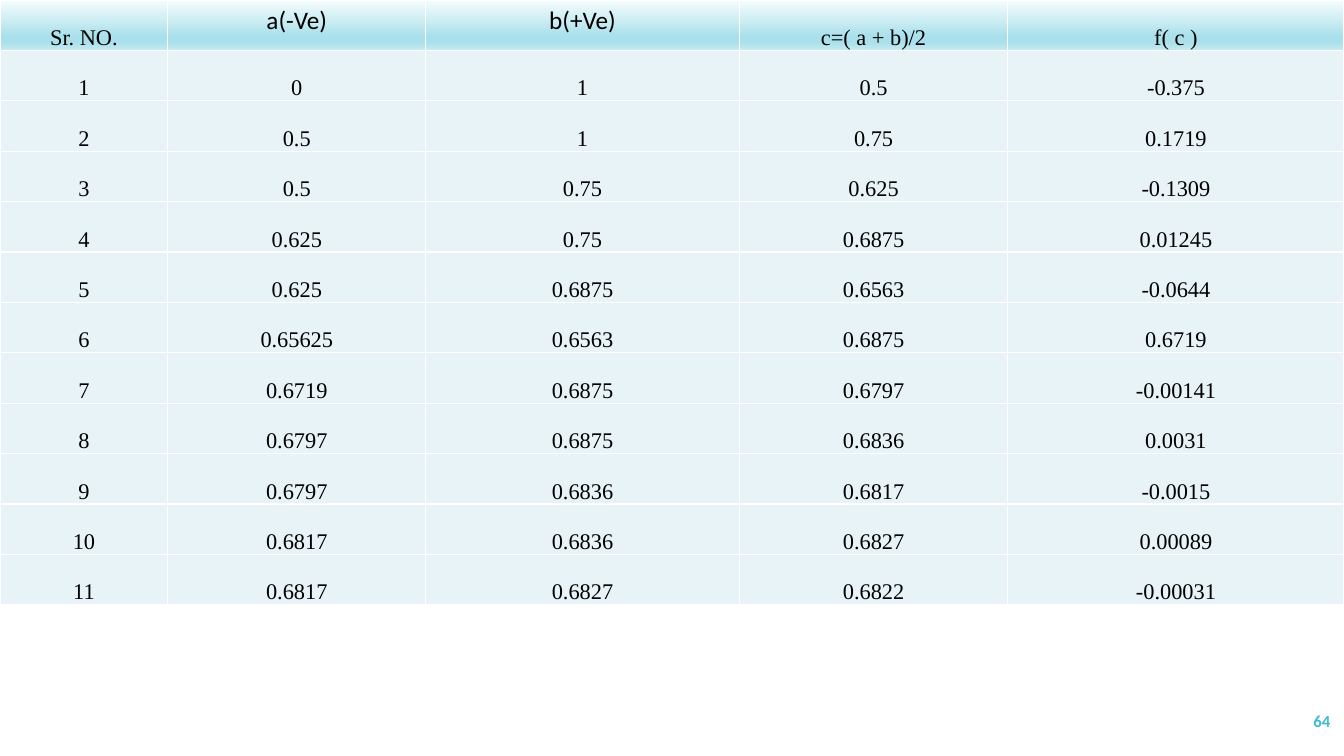
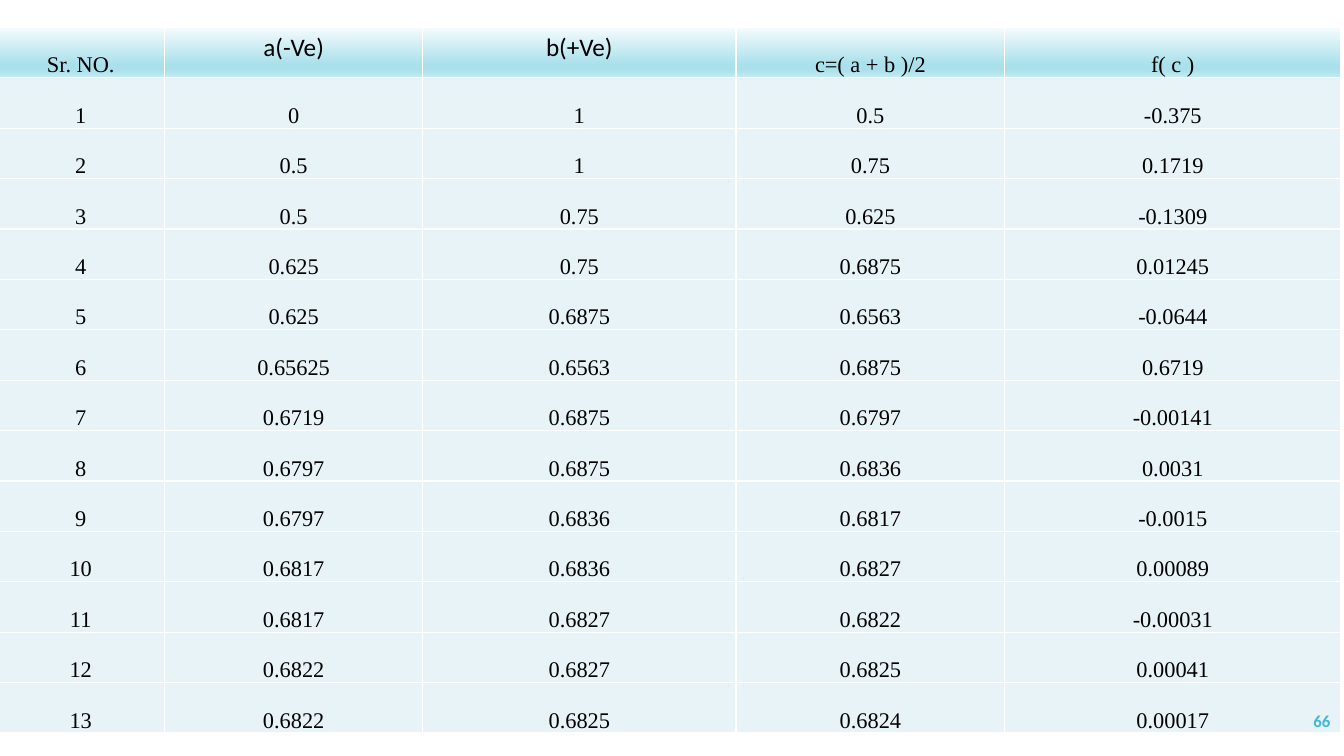
from lxml import etree
from pptx import Presentation
from pptx import util as u
from pptx.dml import color
from pptx.enum import text
from pptx.oxml import ns

STEPS = [
    ("0", "1", "0.5", "-0.375"),
    ("0.5", "1", "0.75", "0.1719"),
    ("0.5", "0.75", "0.625", "-0.1309"),
    ("0.625", "0.75", "0.6875", "0.01245"),
    ("0.625", "0.6875", "0.6563", "-0.0644"),
    ("0.65625", "0.6563", "0.6875", "0.6719"),
    ("0.6719", "0.6875", "0.6797", "-0.00141"),
    ("0.6797", "0.6875", "0.6836", "0.0031"),
    ("0.6797", "0.6836", "0.6817", "-0.0015"),
    ("0.6817", "0.6836", "0.6827", "0.00089"),
    ("0.6817", "0.6827", "0.6822", "-0.00031"),
    ("0.6822", "0.6827", "0.6825", "0.00041"),
    ("0.6822", "0.6825", "0.6824", "0.00017"),
]
SLIDES = [
    {"midpoint": "c=( a + b)/2", "steps": 11, "left": 0, "top": 0, "number": "64"},
    {"midpoint": "c=( a + b )/2", "steps": 13, "left": -0.08, "top": 0.69, "number": "66"},
]

COLUMN_WIDTHS = (4.23, 6.5, 7.9, 6.77, 8.47)
ROW_HEIGHT = 1.27
HEADER_STOPS = ((0, "F5FCFD"), (74, "A9E0EB"), (83, "A9E0EB"), (100, "C6EAF1"))
BODY_FILL = "E8F3F7"
BORDER = "FFFFFF"

VALUE_FONT = {"name": "Times New Roman", "size": u.Pt(16), "bold": False}
SIGN_FONT = {"name": "Calibri", "size": u.Pt(18), "bold": False}
NUMBER_FONT = {"name": "Calibri", "size": u.Pt(12), "bold": True}
VALUE_CELL = {
    "vertical_anchor": text.MSO_ANCHOR.BOTTOM,
    "margin_left": u.Cm(0.02),
    "margin_right": u.Cm(0.02),
    "margin_top": u.Cm(0.02),
    "margin_bottom": 0,
}
SIGN_CELL = {"vertical_anchor": text.MSO_ANCHOR.TOP}


def rgb(value):
    return color.RGBColor.from_string(value)


def set_all(target, values):
    for name, value in values.items():
        setattr(target, name, value)


def write(para, words, font, font_color, align):
    para.alignment = align
    span = para.add_run()
    span.text = words
    set_all(span.font, font)
    span.font.color.rgb = rgb(font_color)


def add_solid(parent, value):
    solid = etree.SubElement(parent, ns.qn("a:solidFill"))
    etree.SubElement(solid, ns.qn("a:srgbClr"), val=value)


def add_borders(cell):
    properties = cell._tc.get_or_add_tcPr()
    for side in ("lnL", "lnR", "lnT", "lnB"):
        line = etree.SubElement(properties, ns.qn(f"a:{side}"), w=str(u.Pt(1)))
        add_solid(line, BORDER)


def add_header_gradient(cell):
    gradient = etree.SubElement(cell._tc.get_or_add_tcPr(), ns.qn("a:gradFill"), rotWithShape="1")
    stops = etree.SubElement(gradient, ns.qn("a:gsLst"))
    for percent, value in HEADER_STOPS:
        stop = etree.SubElement(stops, ns.qn("a:gs"), pos=str(percent * 1000))
        etree.SubElement(stop, ns.qn("a:srgbClr"), val=value)
    etree.SubElement(gradient, ns.qn("a:lin"), ang="5400000", scaled="0")


def add_step_table(page, midpoint, steps, left, top):
    rows = [("Sr. NO.", "a(-Ve)", "b(+Ve)", midpoint, "f( c )")]
    rows += [(str(index), *step) for index, step in enumerate(STEPS[:steps], 1)]
    table = page.shapes.add_table(
        len(rows), len(COLUMN_WIDTHS), u.Cm(left), u.Cm(top),
        u.Cm(sum(COLUMN_WIDTHS)), u.Cm(ROW_HEIGHT * len(rows))).table
    set_all(table, {"first_row": False, "horz_banding": False})
    for column, width in zip(table.columns, COLUMN_WIDTHS):
        column.width = u.Cm(width)
    for row_index, row in enumerate(rows):
        table.rows[row_index].height = u.Cm(ROW_HEIGHT)
        for column_index, words in enumerate(row):
            cell = table.cell(row_index, column_index)
            is_header = row_index == 0
            is_sign = is_header and column_index in (1, 2)
            set_all(cell, SIGN_CELL if is_sign else VALUE_CELL)
            write(cell.text_frame.paragraphs[0], words,
                  SIGN_FONT if is_sign else VALUE_FONT, "000000", text.PP_ALIGN.CENTER)
            add_borders(cell)
            if is_header:
                add_header_gradient(cell)
            else:
                cell.fill.solid()
                cell.fill.fore_color.rgb = rgb(BODY_FILL)


def add_page_number(page, number):
    box = page.shapes.add_textbox(u.Cm(29.54), u.Cm(17.65), u.Cm(4.24), u.Cm(1.02))
    set_all(box.text_frame, {"word_wrap": True, "vertical_anchor": text.MSO_ANCHOR.MIDDLE})
    write(box.text_frame.paragraphs[0], number, NUMBER_FONT, "40BAD2", text.PP_ALIGN.RIGHT)


def main():
    deck = Presentation()
    set_all(deck, {"slide_width": u.Cm(33.87), "slide_height": u.Cm(19.05)})
    for content in SLIDES:
        page = deck.slides.add_slide(deck.slide_layouts[6])
        add_step_table(page, content["midpoint"], content["steps"], content["left"], content["top"])
        add_page_number(page, content["number"])
    deck.save("out.pptx")


if __name__ == "__main__":
    main()
